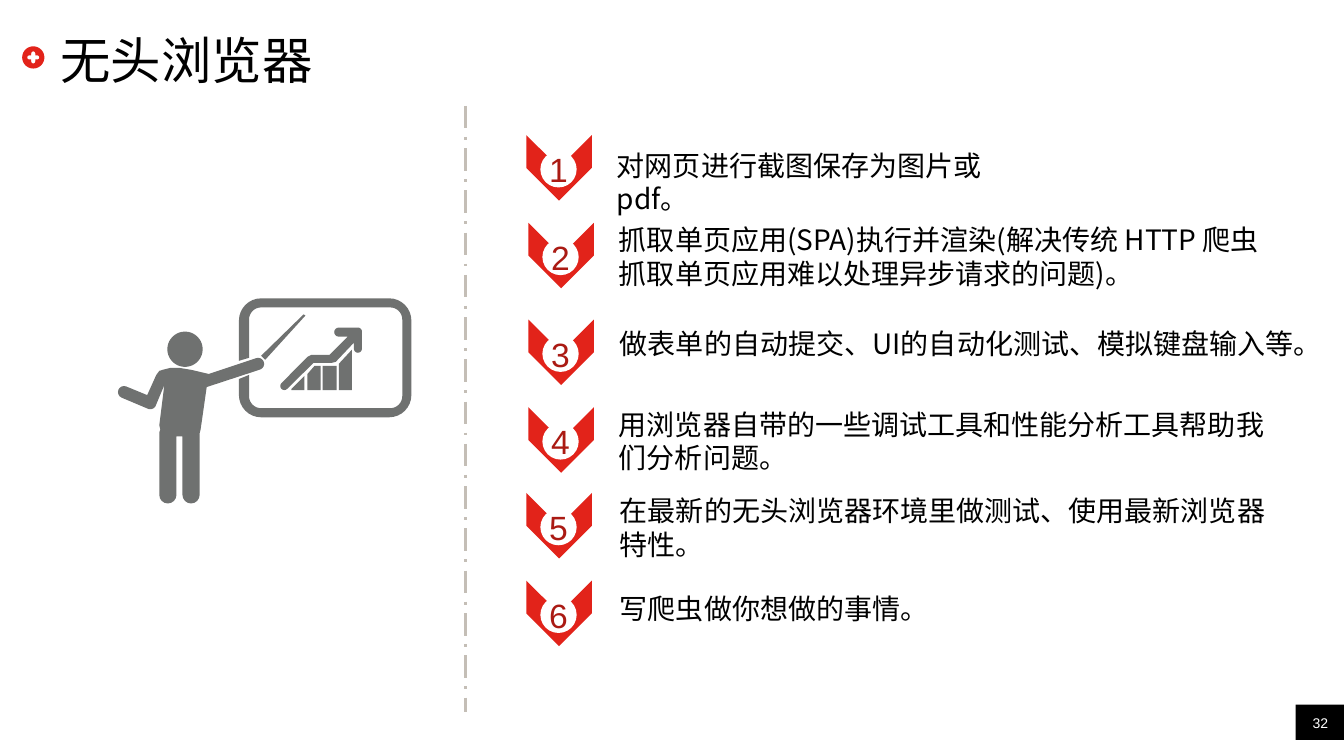
from math import cos, radians, sin

from lxml import etree
from pptx import Presentation
from pptx.dml.color import RGBColor
from pptx.enum.dml import MSO_LINE
from pptx.enum.shapes import MSO_CONNECTOR, MSO_SHAPE
from pptx.enum.text import MSO_ANCHOR, MSO_AUTO_SIZE, PP_ALIGN
from pptx.oxml.ns import qn
from pptx.util import Pt

PX = 9144  # 100 px to the inch
RECT, OVAL, CHEVRON = MSO_SHAPE.RECTANGLE, MSO_SHAPE.OVAL, MSO_SHAPE.CHEVRON
TOP, MIDDLE, BOTTOM = MSO_ANCHOR.TOP, MSO_ANCHOR.MIDDLE, MSO_ANCHOR.BOTTOM
LEFT, CENTER = PP_ALIGN.LEFT, PP_ALIGN.CENTER
GROW = MSO_AUTO_SIZE.SHAPE_TO_FIT_TEXT
STRAIGHT, DASH_DOT = MSO_CONNECTOR.STRAIGHT, MSO_LINE.LONG_DASH_DOT
LATIN, CJK = "Arial", "Noto Sans CJK SC"
COLORS = {"black": "000000", "white": "FFFFFF", "red": "E2231A",
          "dark_red": "AA1A13", "divider": "C4BEB6", "icon": "6F7170"}

# marker left, marker top, text box, text, options
USES = [
    (522, 134, (602, 142, 462, 44), "对网页进行截图保存为图片或 pdf。",
     {"insets": (10, 5, 40, 5)}),
    (524, 221, (604, 216, 668, 77),
     "抓取单页应用(SPA)执行并渲染(解决传统 HTTP 爬虫抓取单页应用难以处理异步请求的问题)。", {}),
    (524, 317, (605, 319, 716, 44),
     "做表单的自动提交、UI的自动化测试、模拟键盘输入等。", {"wrap": False}),
    (524, 404, (604, 399, 664, 77),
     "用浏览器自带的一些调试工具和性能分析工具帮助我们分析问题。", {}),
    (522, 489, (605, 485, 660, 77),
     "在最新的无头浏览器环境里做测试、使用最新浏览器特性。", {}),
    (522, 576, (605, 582, 666, 44), "写爬虫做你想做的事情。", {}),
]


def arc(cx, cy, radius, start, end, steps=8):
    """Points along an arc, in degrees clockwise from the right."""
    angles = [radians(start + (end - start) * i / steps) for i in range(steps + 1)]
    return [(cx + radius * cos(a), cy + radius * sin(a)) for a in angles]


def rounded_ring(left, top, right, bottom, radius):
    """Outline of a rounded rectangle, clockwise from the top left corner."""
    l, t, r, b = left + radius, top + radius, right - radius, bottom - radius
    corners = [(l, t, 180), (r, t, 270), (r, b, 0), (l, b, 90)]
    return [p for x, y, a in corners for p in arc(x, y, radius, a, a + 90)]


def plus_badge():
    cx, cy = 33, 57
    plus = []
    for angle in range(0, 360, 90):
        plus += arc(cx, cy, 2.83, angle - 45, angle - 45, 1)
        tip = radians(angle)
        plus += arc(cx + 4 * cos(tip), cy + 4 * sin(tip), 2, angle - 90, angle + 90)
    return [arc(cx, cy, 11, 0, 360, 40), plus]


def presenter_icon():
    head = arc(183.5, 346.5, 17.5, 0, 360, 40)
    body = [
        *arc(256, 361, 6, -108, 72), (205, 384), (199, 426), (198, 430),
        *arc(189.5, 491, 8.5, 0, 180), (181, 433), (175, 433),
        *arc(166.5, 491, 8.5, 0, 180), (158, 429), (159, 426), (158, 422),
        (163, 382), *arc(149, 400, 6, 20, 110), *arc(123, 389, 6, 115, 290),
        (146, 392), (155, 372), (158, 368), (161, 367), (169, 365),
        (178, 365), (190, 367), (207, 371)]
    board = ([(237, 358)] + rounded_ring(237, 296, 408, 414, 22) + [(237, 376)]
             + [(247, 372)] + rounded_ring(247, 305, 399, 405, 12)[::-1] + [(247, 355)])
    pointer = [(301, 312), (303, 313), (263, 357), (259, 353)]
    bars = [
        [(302, 373), (302, 387), (289, 387), (289, 386)],
        [(312, 363), (318, 363), (318, 387), (305, 387), (305, 371)],
        [(320, 363), (334, 363), (334, 387), (320, 387)],
        [(349, 347), (349, 387), (336, 387), (336, 361)]]
    trend_arrow = [
        *arc(355, 329, 4, -90, 0), *arc(355, 346, 4, 0, 180), (351, 340),
        (333, 359), (329, 360), (311, 360), *arc(282, 383, 4, 45, 225),
        (305, 354), (309, 352), (327, 352), (345, 334),
        *arc(336, 329.5, 4.5, 90, 270)]
    return [head, body, board, pointer, *bars, trend_arrow]


class SlideBuilder:
    """Holds the style and the slide being drawn."""

    def __init__(self, slide):
        self.shapes = slide.shapes

    def color(self, name):
        return RGBColor.from_string(COLORS[name])

    def paint(self, shape, fill):
        shape.shadow.inherit = False
        shape.fill.solid()
        shape.fill.fore_color.rgb = self.color(fill)
        shape.line.fill.background()
        return shape

    def block(self, preset, box, fill, parent=None):
        shapes = parent.shapes if parent else self.shapes
        return self.paint(shapes.add_shape(preset, *(v * PX for v in box)), fill)

    def set_text(self, shape, text, size=20, color="black", font=LATIN, align=LEFT,
                 anchor=TOP, insets=(0, 0, 0, 0), wrap=True, grow=False):
        frame = shape.text_frame
        frame.word_wrap = wrap
        frame.vertical_anchor = anchor
        (frame.margin_left, frame.margin_top,
         frame.margin_right, frame.margin_bottom) = (v * PX for v in insets)
        if grow:
            frame.auto_size = GROW
        paragraph = frame.paragraphs[0]
        paragraph.alignment = align
        run = paragraph.add_run()
        run.text = text
        run.font.size = Pt(size)
        run.font.name = font
        run.font.color.rgb = self.color(color)
        east_asian = etree.Element(qn("a:ea"), typeface=CJK)
        run.font._element.find(qn("a:latin")).addnext(east_asian)

    def text(self, box, text, **style):
        self.set_text(self.shapes.add_textbox(*(v * PX for v in box)), text, **style)

    def outline(self, contours, fill):
        """One filled shape; contours inside others become holes."""
        scaled = [[(x * PX, y * PX) for x, y in contour] for contour in contours]
        builder = self.shapes.build_freeform(*scaled[0][0])
        builder.add_line_segments(scaled[0][1:], close=True)
        for contour in scaled[1:]:
            builder.move_to(*contour[0])
            builder.add_line_segments(contour[1:], close=True)
        self.paint(builder.convert_to_shape(), fill)

    def divider(self, x, top, bottom):
        line = self.shapes.add_connector(STRAIGHT, x * PX, top * PX, x * PX, bottom * PX)
        line.line.color.rgb = self.color("divider")
        line.line.width = Pt(2)
        line.line.dash_style = DASH_DOT
        etree.SubElement(line._element.spPr, qn("a:effectLst"))

    def marker(self, left, top, number):
        group = self.shapes.add_group_shape()
        chevron = self.block(CHEVRON, (left, top, 65, 65), "red", group)
        chevron.rotation = 90
        disc = self.block(OVAL, (left + 14, top + 16, 36, 36), "white", group)
        self.set_text(disc, str(number), size=24, color="dark_red", align=CENTER,
                      anchor=MIDDLE, wrap=False)


def main():
    deck = Presentation()
    deck.slide_width, deck.slide_height = 1333 * PX, 750 * PX
    page = SlideBuilder(deck.slides.add_slide(deck.slide_layouts[6]))

    page.block(RECT, (1285, 699, 48, 35), "black")
    page.text((1285, 699, 49, 27), "32", size=10, color="white", align=CENTER,
              anchor=BOTTOM)
    page.outline(plus_badge(), "red")
    page.text((60, 30, 342, 57), "无头浏览器", size=36, anchor=MIDDLE)

    for number, (left, top, box, use, options) in enumerate(USES, 1):
        page.marker(left, top, number)
        page.text(box, use, **{"font": CJK, "insets": (10, 5, 10, 5), "grow": True,
                               **options})

    page.divider(462, 105, 706)
    page.outline(presenter_icon(), "icon")
    deck.save("out.pptx")


if __name__ == "__main__":
    main()
